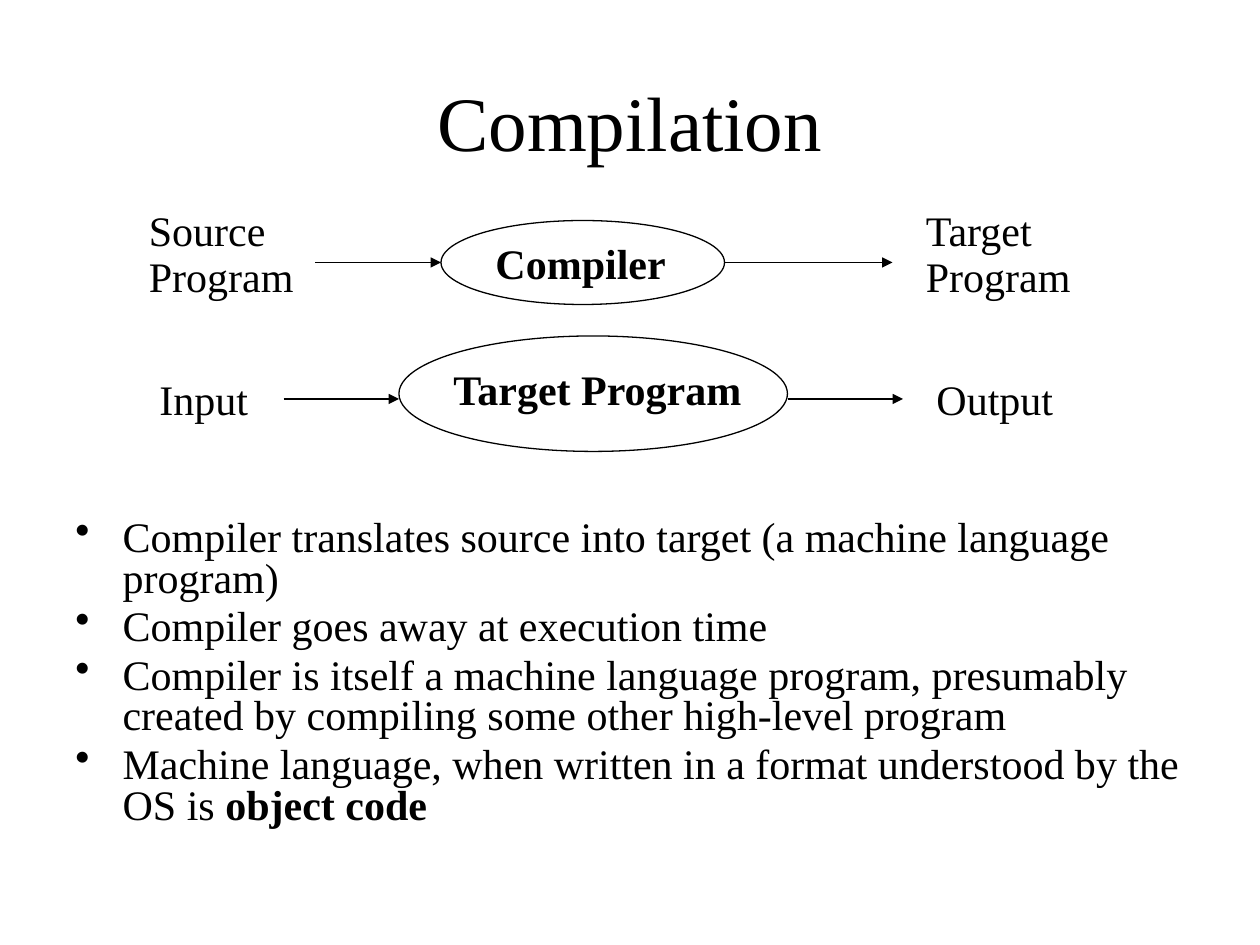
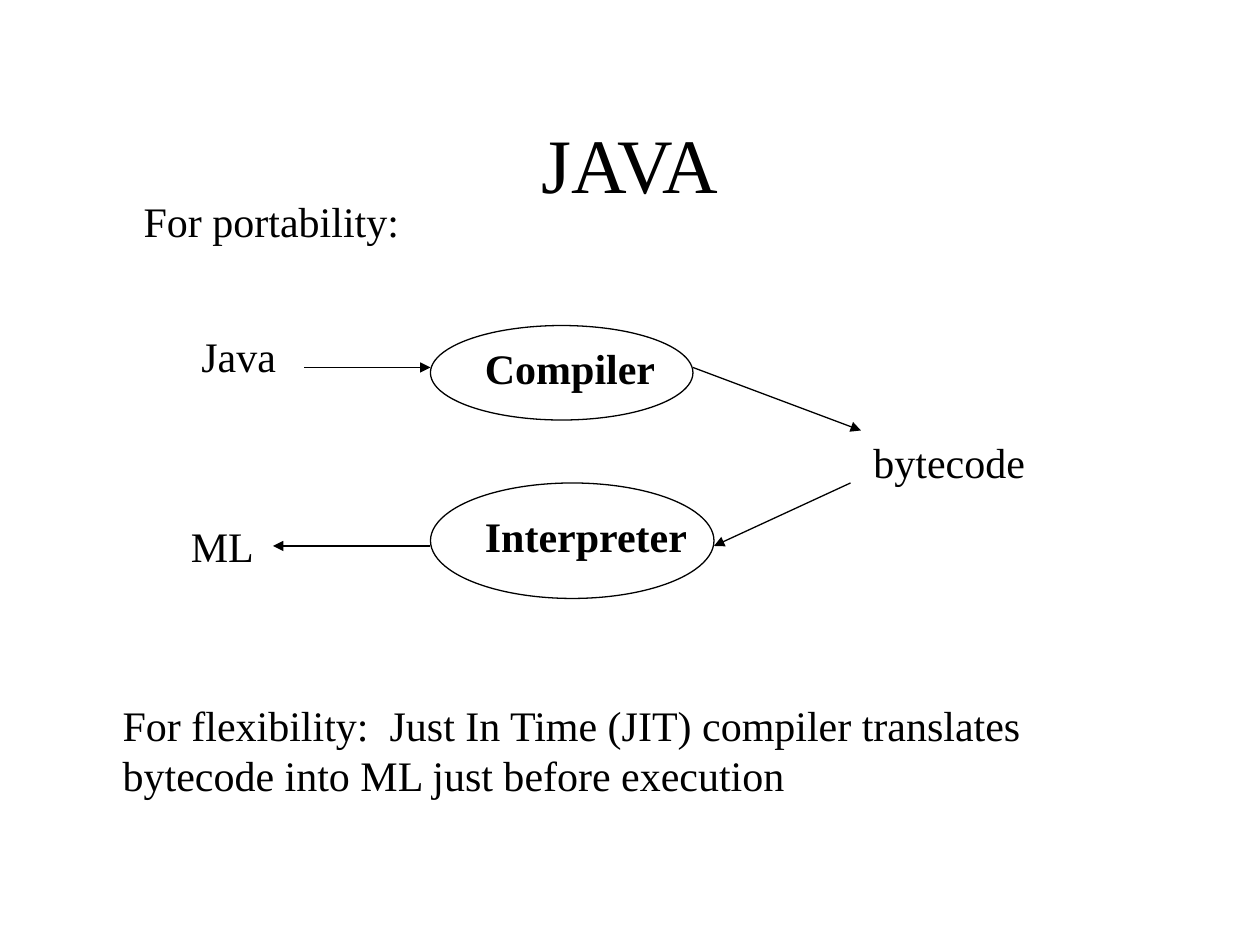
from lxml import etree
from pptx import Presentation
from pptx.dml.color import RGBColor
from pptx.enum.shapes import MSO_CONNECTOR, MSO_SHAPE
from pptx.enum.text import MSO_ANCHOR, MSO_AUTO_SIZE, PP_ALIGN
from pptx.oxml.ns import qn
from pptx.util import Pt

LINE = MSO_CONNECTOR.STRAIGHT
OVAL = MSO_SHAPE.OVAL
TOP, MIDDLE = MSO_ANCHOR.TOP, MSO_ANCHOR.MIDDLE
LEFT, CENTER = PP_ALIGN.LEFT, PP_ALIGN.CENTER
GROW, FIXED = MSO_AUTO_SIZE.SHAPE_TO_FIT_TEXT, MSO_AUTO_SIZE.NONE

FONT = "Times New Roman"
INK = "000000"

# Text formats shared by both slides
TITLE = dict(size=44, align=CENTER, anchor=MIDDLE, fit=FIXED)
LABEL = dict(before=12)
TIGHT = dict(before=12, spacing=0.5)
STAGE = dict(before=12, bold=True)
LIST = dict(before=4.8, spacing=0.8, indent=27, bullet="•", fit=FIXED)
NOTE = dict(before=4.8, indent=9, level=1)

# Content: boxes are left, top, width, height in points.
# A paragraph is a string, or a list of (text, bold) runs.
SLIDES = [
    dict(
        texts=[
            (["Compilation"], (54, 36, 612, 66), TITLE),
            (["Compiler"], (276, 132, 120, 36), STAGE),
            (["Target Program"], (252, 204, 186, 36), STAGE),
            (["Source", "Program"], (78, 126, 108, 50), TIGHT),
            (["Target", "Program"], (522, 126, 102, 50), TIGHT),
            (["Input"], (84, 210, 72, 36), LABEL),
            (["Output"], (528, 210, 84, 36), LABEL),
            ([
                "Compiler translates source into target (a machine language program)",
                "Compiler goes away at execution time",
                "Compiler is itself a machine language program, presumably "
                "created by compiling some other high-level program",
                [("Machine language, when written in a format understood "
                  "by the OS is ", False), ("object code", True)],
            ], (36, 294, 648, 216), LIST),
        ],
        ovals=[(252, 126, 162, 48), (228, 192, 222, 66)],
        arrows=[
            ((180, 150), (252, 150)),
            ((414, 150), (510, 150)),
            ((162, 228), (228, 228)),
            ((450, 228), (516, 228)),
        ],
    ),
    dict(
        texts=[
            (["JAVA"], (54, 48, 612, 90), TITLE),
            (["Compiler"], (270, 192, 114, 36), STAGE),
            (["Interpreter"], (270, 288, 132, 36), STAGE),
            (["Java"], (108, 198, 72, 21.6), TIGHT),
            (["bytecode"], (492, 246, 126, 36), LABEL),
            (["ML"], (102, 294, 66, 36), LABEL),
            (["For flexibility:  Just In Time (JIT) compiler translates "
              "bytecode into ML just before execution"],
             (54, 396, 618, 65), NOTE),
            (["For portability:"], (66, 108, 492, 36), NOTE),
        ],
        ovals=[(246, 186, 150, 54), (246, 276, 162, 66)],
        arrows=[
            ((174, 210), (246, 210)),
            ((396, 210), (492, 246)),
            ((246, 312), (156, 312)),
            ((486, 276), (408, 312)),
        ],
    ),
]


def color(code):
    return RGBColor.from_string(code)


def points(box):
    return [Pt(n) for n in box]


def add_text(slide, paras, box, size=24, bold=False, align=LEFT, anchor=TOP,
             fit=GROW, before=0, spacing=None, indent=0, bullet=None, level=0):
    frame = slide.shapes.add_textbox(*points(box)).text_frame
    frame.word_wrap = True
    frame.auto_size = fit
    frame.vertical_anchor = anchor
    for i, runs in enumerate(paras):
        para = frame.add_paragraph() if i else frame.paragraphs[0]
        para.alignment = align
        para.level = level
        para.space_before = Pt(before)
        if spacing:
            para.line_spacing = spacing
        # Indent and bullet
        props = para._p.get_or_add_pPr()
        if indent:
            props.set("marL", str(Pt(indent)))
            props.set("indent", str(Pt(-indent if bullet else 0)))
        if bullet:
            etree.SubElement(props, qn("a:buChar"), char=bullet)
        for text, heavy in [(runs, bold)] if isinstance(runs, str) else runs:
            run = para.add_run()
            run.text = text
            run.font.name = FONT
            run.font.size = Pt(size)
            run.font.bold = heavy
            run.font.color.rgb = color(INK)


def ink_line(line):
    line.color.rgb = color(INK)
    line.width = Pt(0.75)


def add_oval(slide, box):
    oval = slide.shapes.add_shape(OVAL, *points(box))
    oval.shadow.inherit = False
    oval.fill.background()
    ink_line(oval.line)


def add_arrow(slide, start, end):
    arrow = slide.shapes.add_connector(LINE, *points(start + end))
    ink_line(arrow.line)
    etree.SubElement(arrow.line._get_or_add_ln(), qn("a:tailEnd"), type="triangle")
    etree.SubElement(arrow._element.spPr, qn("a:effectLst"))


def main():
    deck = Presentation()
    deck.slide_width, deck.slide_height = Pt(720), Pt(540)
    for page in SLIDES:
        slide = deck.slides.add_slide(deck.slide_layouts[6])
        for paras, box, style in page["texts"]:
            add_text(slide, paras, box, **style)
        for box in page["ovals"]:
            add_oval(slide, box)
        for start, end in page["arrows"]:
            add_arrow(slide, start, end)
    deck.save("out.pptx")


if __name__ == "__main__":
    main()
